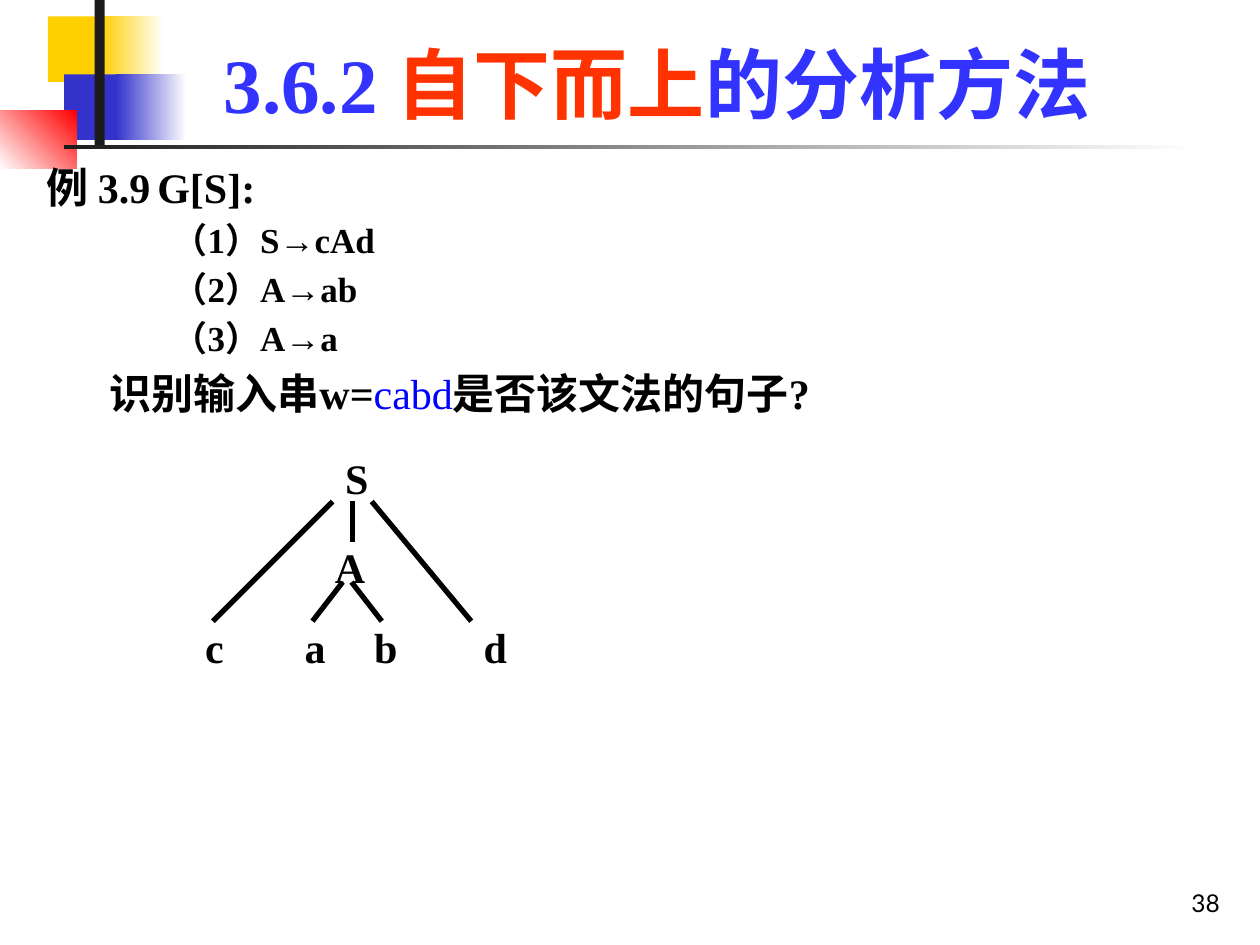
from lxml.etree import SubElement
from pptx import Presentation
from pptx.dml.color import RGBColor
from pptx.enum.shapes import MSO_CONNECTOR as Conn, MSO_SHAPE as Shape
from pptx.enum.text import MSO_ANCHOR as Anchor, PP_ALIGN as Align
from pptx.oxml.ns import qn
from pptx.util import Inches, Pt

SERIF = "Times New Roman"
BLACK, BLUE, RED = "000000", "3333FF", "FF3300"

# Decoration: box, start colour, end colour (None = solid), angle
BLOCKS = [
    ((0.38, 0.13, 0.67, 0.52), "FFCF01", None, 0),
    ((0.8, 0.13, 0.5, 0.52), "FFCF01", "FFFFFF", 0),
    ((0.51, 0.59, 0.64, 0.52), "3333CC", None, 0),
    ((0.92, 0.59, 0.56, 0.52), "3333CC", "FFFFFF", 0),
    ((0, 0.88, 0.61, 0.46), "FFFFFF", "FF0000", 45),
    ((0.75, 0, 0.08, 1.15), "1C1C1C", None, 0),
    ((0.51, 1.15, 9, 0.03), "1C1C1C", "FFFFFF", 0),
]
# Runs: text, colour, bold
TITLE = [("3.6.2 ", BLUE, True), ("自下而上", RED, True),
         ("的分析方法", BLUE, True)]
# Body lines: level, runs
BODY = [
    (0, [("例 3.9\tG[S]:", BLACK, True)]),
    (2, [("（1）S→cAd", BLACK, True)]),
    (2, [("（2）A→ab", BLACK, True)]),
    (2, [("（3）A→a", BLACK, True)]),
    (1, [("识别输入串w=", BLACK, True), ("cabd", "0000FF", False),
         ("是否该文法的句子?", BLACK, True)]),
]
# Level: size, left margin, first-line indent
LEVELS = [(24, 0.38, -0.38), (24, 0.81, -0.31), (20, 1.25, -0.25)]
# Syntax tree: letter, left, top, width
NODES = [("S", 2.64, 3.51, 0.39), ("A", 2.56, 4.22, 0.47),
         ("c", 1.53, 4.85, 0.32), ("a", 2.32, 4.85, 0.39),
         ("b", 2.87, 4.85, 0.39), ("d", 3.74, 4.85, 0.47)]
EDGES = [(2.64, 3.98, 1.69, 4.93), (2.8, 3.98, 2.8, 4.3),
         (2.95, 3.98, 3.74, 4.93), (2.72, 4.62, 2.48, 4.93),
         (2.79, 4.62, 3.03, 4.93)]


def rgb(code):
    return RGBColor.from_string(code)


def inch(nums):
    return [Inches(n) for n in nums]


def write(para, runs, size, align, font=SERIF):
    para.alignment = align
    para.font.name, para.font.size = font, Pt(size)
    for text, color, bold in runs:
        run = para.add_run()
        run.text = text
        run.font.name, run.font.size = font, Pt(size)
        run.font.bold, run.font.color.rgb = bold, rgb(color)


def box(place):
    frame = slide.shapes.add_textbox(*inch(place)).text_frame
    frame.word_wrap = True
    return frame


deck = Presentation()
deck.slide_width, deck.slide_height = inch((10, 7.5))
slide = deck.slides.add_slide(deck.slide_layouts[5])

# Corner blocks and rules
for place, start, end, angle in BLOCKS:
    block = slide.shapes.add_shape(Shape.RECTANGLE, *inch(place))
    block.shadow.inherit = False
    block.line.fill.background()
    if end:
        block.fill.gradient()
        block.fill.gradient_angle = angle
        for stop, color in zip(block.fill.gradient_stops, (start, end)):
            stop.color.rgb = rgb(color)
    else:
        block.fill.solid()
        block.fill.fore_color.rgb = rgb(start)

# Title
title = slide.shapes.title
title.left, title.top, title.width, title.height = inch((1.26, 0.23, 7.91, 0.84))
title.text_frame.vertical_anchor = Anchor.BOTTOM
write(title.text_frame.paragraphs[0], TITLE, 44, Align.CENTER)

# Body
frame = box((0.27, 1.23, 9.52, 2.28))
for i, (level, runs) in enumerate(BODY):
    para = frame.add_paragraph() if i else frame.paragraphs[0]
    size, margin, indent = LEVELS[level]
    write(para, runs, size, Align.JUSTIFY)
    para.level = level
    para.space_before = Pt(size * 0.2)
    props = para._p.get_or_add_pPr()
    props.set("marL", str(Inches(margin)))
    props.set("indent", str(Inches(indent)))
    if "\t" in runs[0][0]:
        tabs = SubElement(props, qn("a:tabLst"))
        SubElement(tabs, qn("a:tab"), pos=str(Inches(1.16)), algn="l")
        props.find(qn("a:defRPr")).addprevious(tabs)

# Syntax tree
for edge in EDGES:
    line = slide.shapes.add_connector(Conn.STRAIGHT, *inch(edge))
    line.line.color.rgb, line.line.width = rgb(BLACK), Pt(3)
    SubElement(line._element.spPr, qn("a:effectLst"))
for name, left, top, width in NODES:
    frame = box((left, top, width, 0.5))
    frame.margin_top = Inches(0.08)
    write(frame.paragraphs[0], [(name, BLACK, True)], 24, Align.LEFT)

# Page number
frame = box((7.7, 6.83, 2.08, 0.5))
frame.vertical_anchor = Anchor.BOTTOM
write(frame.paragraphs[0], [("38", BLACK, False)], 14, Align.RIGHT, "Lato")

deck.save("out.pptx")
